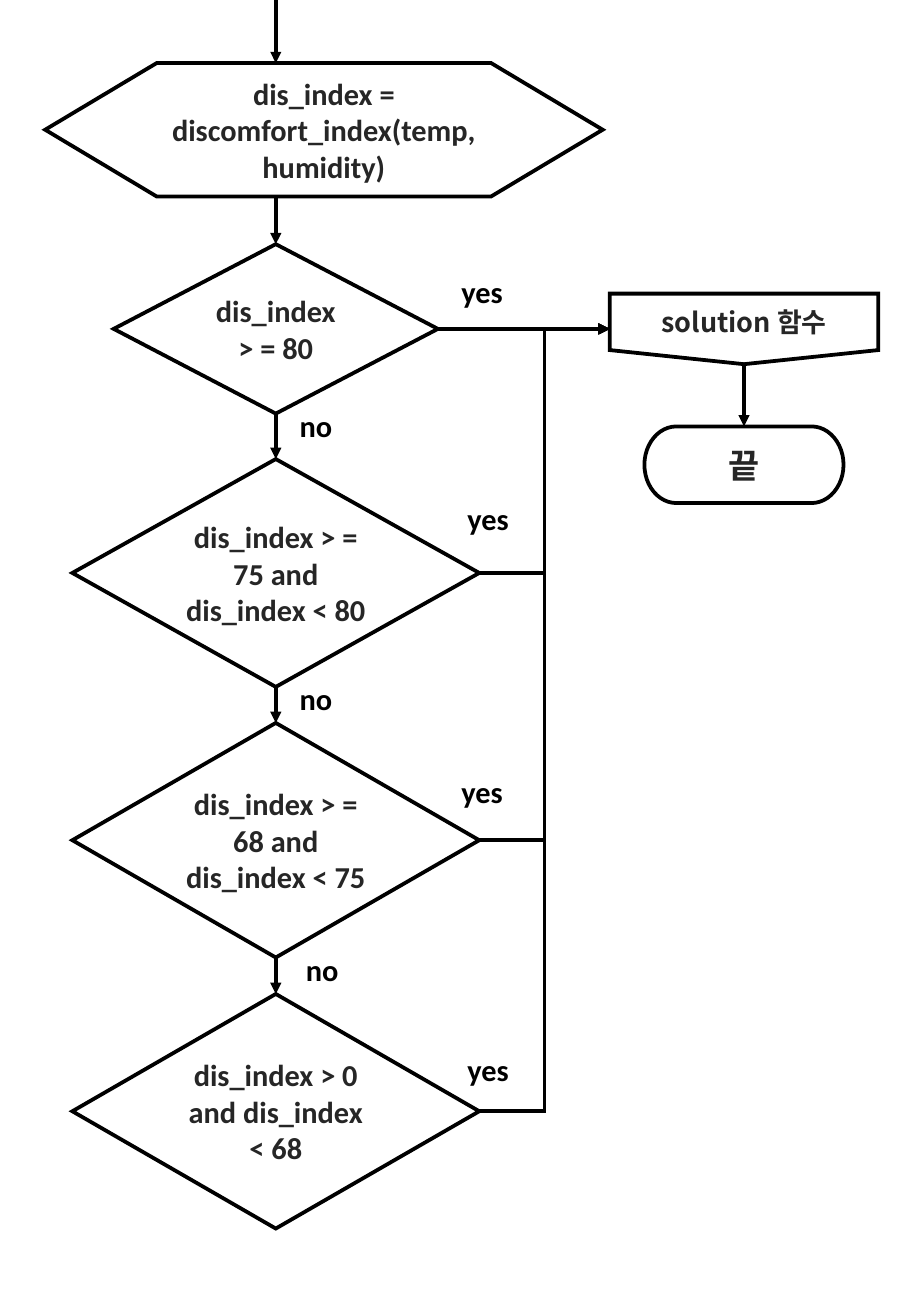
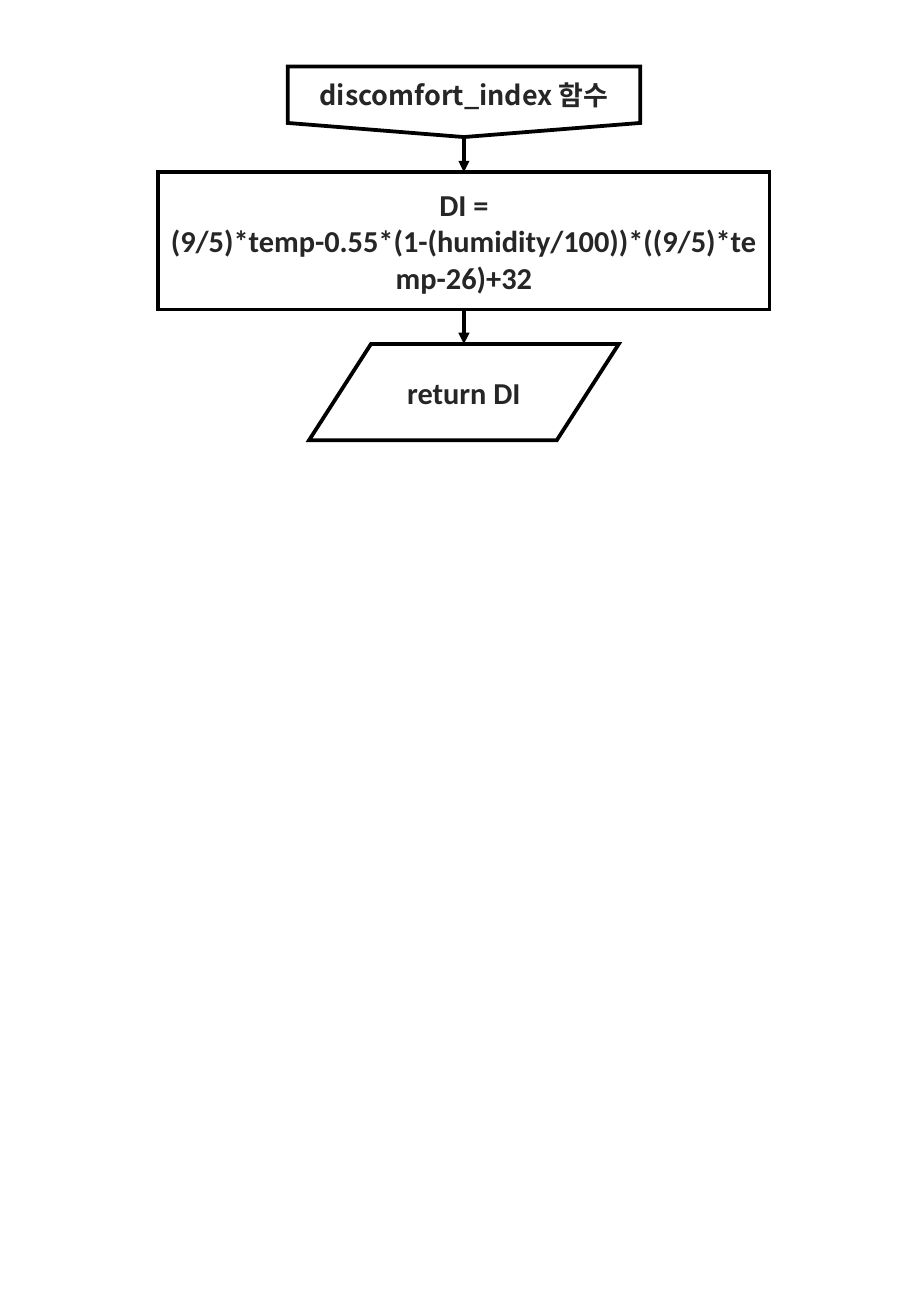
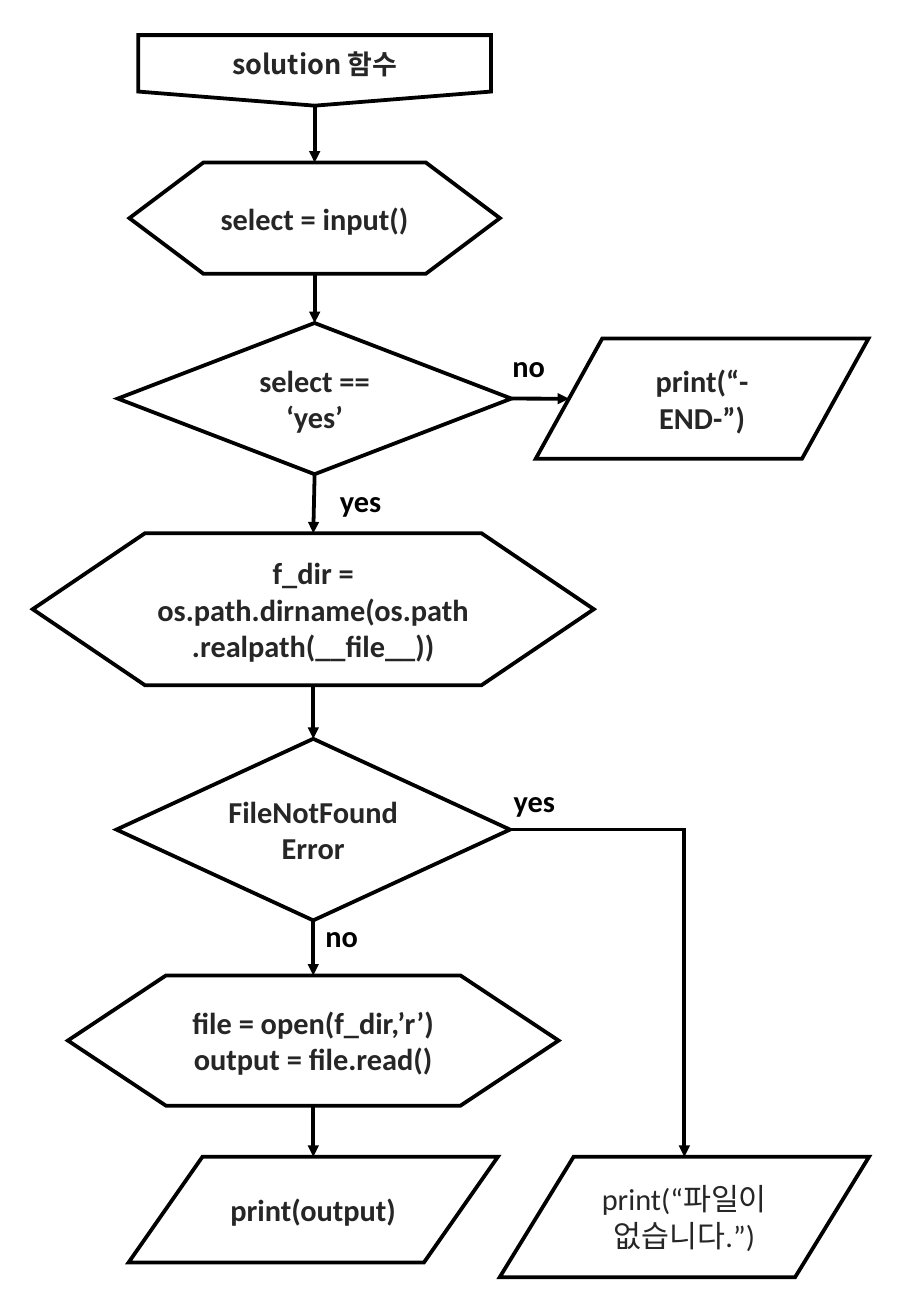
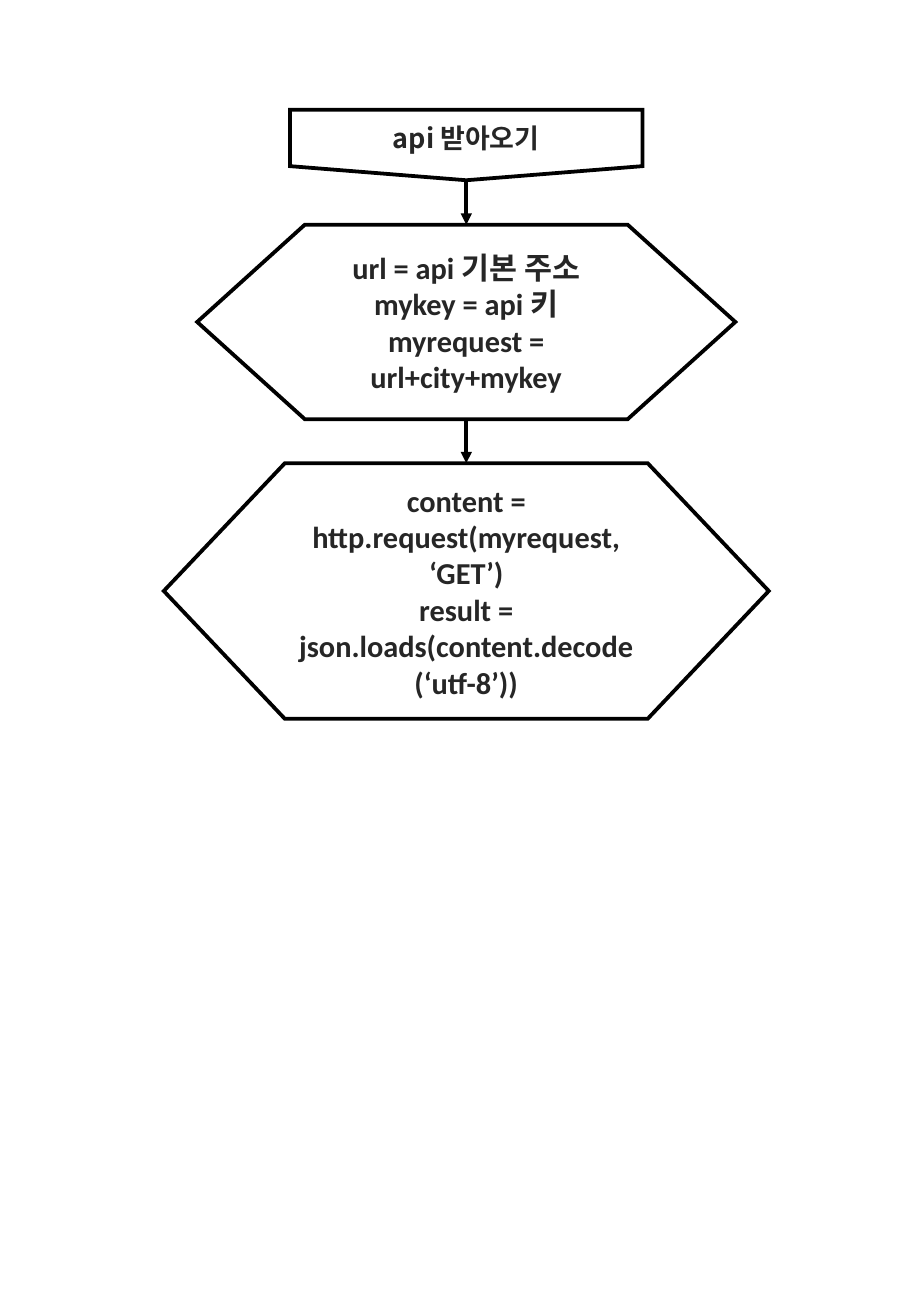
from dataclasses import dataclass

from lxml import etree
from pptx import Presentation
from pptx.dml.color import RGBColor
from pptx.enum.shapes import MSO_CONNECTOR, MSO_SHAPE
from pptx.enum.text import MSO_ANCHOR, MSO_AUTO_SIZE, PP_ALIGN
from pptx.oxml.ns import qn
from pptx.util import Pt

DECISION = MSO_SHAPE.FLOWCHART_DECISION
PREPARATION = MSO_SHAPE.FLOWCHART_PREPARATION
DATA = MSO_SHAPE.FLOWCHART_DATA
PROCESS = MSO_SHAPE.FLOWCHART_PROCESS
OFFPAGE = MSO_SHAPE.FLOWCHART_OFFPAGE_CONNECTOR
TERMINATOR = MSO_SHAPE.FLOWCHART_TERMINATOR
STRAIGHT, ELBOW = MSO_CONNECTOR.STRAIGHT, MSO_CONNECTOR.ELBOW

WHITE = RGBColor(0xFF, 0xFF, 0xFF)
BLACK = RGBColor(0x00, 0x00, 0x00)
INK = RGBColor(0x26, 0x26, 0x26)
LATIN, KOREAN = "Calibri", "Noto Sans CJK KR"
LINE_WIDTH = Pt(2.25)

# Text format of nodes, with the kinds that differ
NODE_FONT = {"name": LATIN, "size": Pt(18), "bold": True}
KIND_FONT = {
    OFFPAGE: {"name": KOREAN, "size": Pt(16)},
    TERMINATOR: {"name": KOREAN, "size": Pt(20)},
}

# Connection sites; the data parallelogram numbers its own
SITES = {"top": 0, "left": 1, "bottom": 2, "right": 3}
DATA_SITES = {"top": 1, "left": 2, "bottom": 4, "right": 5}


@dataclass
class Node:
    kind: MSO_SHAPE
    text: str
    cx: float
    top: float
    width: float
    height: float
    bold: bool = True


@dataclass
class Label:
    text: str
    left: float
    top: float


def write(tf, text: str, fmt: dict, color: RGBColor, align) -> None:
    """Fill a text frame, one paragraph for each line of text."""
    for i, line in enumerate(text.split("\n")):
        p = tf.paragraphs[0] if i == 0 else tf.add_paragraph()
        p.alignment = align
        r = p.add_run()
        r.text = line
        for name, value in fmt.items():
            setattr(r.font, name, value)
        r.font.color.rgb = color
        ea = etree.Element(qn("a:ea"), typeface=KOREAN)
        r.font._element.find(qn("a:latin")).addnext(ea)


def style_line(line):
    """Apply the shared outline and return its XML element."""
    line.color.rgb = BLACK
    line.width = LINE_WIDTH
    ln = line._get_or_add_ln()
    etree.SubElement(ln, qn("a:miter"), lim="800000")
    return ln


def draw_node(s, n: Node):
    sp = s.shapes.add_shape(n.kind, Pt(n.cx - n.width / 2), Pt(n.top),
                            Pt(n.width), Pt(n.height))
    sp.shadow.inherit = False
    sp.fill.solid()
    sp.fill.fore_color.rgb = WHITE
    style_line(sp.line)
    tf = sp.text_frame
    tf.word_wrap = True
    tf.vertical_anchor = MSO_ANCHOR.MIDDLE
    fmt = {**NODE_FONT, **KIND_FONT.get(n.kind, {}), "bold": n.bold}
    write(tf, n.text, fmt, INK, PP_ALIGN.CENTER)
    return sp


def draw_label(s, lb: Label) -> None:
    width = 39 if lb.text == "yes" else 34
    tf = s.shapes.add_textbox(Pt(lb.left), Pt(lb.top), Pt(width), Pt(29)).text_frame
    tf.word_wrap = False
    tf.auto_size = MSO_AUTO_SIZE.SHAPE_TO_FIT_TEXT
    write(tf, lb.text, NODE_FONT, BLACK, PP_ALIGN.LEFT)


def arrow(s, begin: tuple, end: tuple, kind=STRAIGHT):
    """Draw an arrow between two points given as lengths."""
    c = s.shapes.add_connector(kind, *begin, *end)
    ln = style_line(c.line)
    etree.SubElement(ln, qn("a:tailEnd"), type="triangle")
    etree.SubElement(c._element.spPr, qn("a:effectLst"))
    return c


def side_point(sp, side: str) -> tuple:
    """Point where a connector meets one side of a node."""
    slant = sp.width // 10 if sp.auto_shape_type == DATA else 0
    mid_x, mid_y = sp.left + sp.width // 2, sp.top + sp.height // 2
    return {
        "top": (mid_x, sp.top),
        "bottom": (mid_x, sp.top + sp.height),
        "left": (sp.left + slant, mid_y),
        "right": (sp.left + sp.width - slant, mid_y),
    }[side]


def site(sp, side: str) -> int:
    return (DATA_SITES if sp.auto_shape_type == DATA else SITES)[side]


def link(s, a, a_side: str, b, b_side: str, kind=STRAIGHT):
    """Draw an arrow that is attached to two nodes."""
    begin, end = side_point(a, a_side), side_point(b, b_side)
    c = arrow(s, begin, end, kind)
    c.begin_connect(a, site(a, a_side))
    c.end_connect(b, site(b, b_side))
    c.begin_x, c.begin_y = begin
    c.end_x, c.end_y = end
    return c


def draw_chain(s, nodes: list) -> list:
    """Draw nodes from top to bottom, each linked to the next."""
    shapes = [draw_node(s, n) for n in nodes]
    for a, b in zip(shapes, shapes[1:]):
        link(s, a, "bottom", b, "top")
    return shapes


def build_index_checks(s) -> None:
    cx = 163.5
    call = draw_node(s, Node(PREPARATION, "dis_index = discomfort_index(temp, humidity)",
                             192, 37.4, 330.5, 79))
    checks = draw_chain(s, [
        Node(DECISION, "dis_index > = 80", cx, 144.7, 192.2, 100.4),
        Node(DECISION, "dis_index > = 75 and dis_index < 80", cx, 272, 241.2, 135),
        Node(DECISION, "dis_index > = 68 and dis_index < 75", cx, 428.4, 241.2, 139),
        Node(DECISION, "dis_index > 0 and dis_index < 68", cx, 589, 241.2, 139),
    ])
    solution, _ = draw_chain(s, [
        Node(OFFPAGE, "solution 함수", 441, 174, 159.1, 41.8),
        Node(TERMINATOR, "끝", 441, 252.7, 118, 45.4),
    ])
    # Flow in from the page before, through the call, to the first check
    arrow(s, (Pt(cx), 0), (Pt(cx), call.top))
    arrow(s, (Pt(cx), call.top + call.height), side_point(checks[0], "top"))
    for i, check in enumerate(checks):
        link(s, check, "right", solution, "left", ELBOW if i else STRAIGHT)
    for lb in (Label("yes", 266.4, 158.4), Label("yes", 270, 293),
               Label("yes", 266.4, 454.3), Label("yes", 270, 619.2),
               Label("no", 170.6, 237.6), Label("no", 170.6, 399.6),
               Label("no", 174.2, 560.2)):
        draw_label(s, lb)


def build_index_function(s) -> None:
    cx = 275
    draw_chain(s, [
        Node(OFFPAGE, "discomfort_index 함수", cx, 39.4, 209, 41.8),
        Node(PROCESS, "DI = (9/5)*temp-0.55*(1-(humidity/100))*((9/5)*temp-26)+32",
             cx, 102, 362.2, 81.4),
        Node(DATA, "return DI", cx, 203.8, 183.6, 57),
    ])


def build_solution_function(s) -> None:
    upper, lower = 186.5, 185.7
    _, _, choice, _, missing, _, _ = draw_chain(s, [
        Node(OFFPAGE, "solution 함수", upper, 20.8, 209, 41.8),
        Node(PREPARATION, "select = input()", upper, 96.3, 219.6, 66),
        Node(DECISION, "select == ‘yes’", upper, 191.4, 233.3, 89.6),
        Node(PREPARATION, "f_dir = os.path.dirname(os.path.realpath(__file__))",
             lower, 316, 332.6, 90),
        Node(DECISION, "FileNotFoundError", lower, 437.8, 233.3, 107.6),
        Node(PREPARATION, "file = open(f_dir,’r’)\noutput = file.read()",
             lower, 578, 290.9, 77.2),
        Node(DATA, "print(output)", lower, 685.5, 218.9, 62.6),
    ])
    end = draw_node(s, Node(DATA, "print(“-END-”)", 416.2, 200.6, 197.3, 71.3))
    no_file = draw_node(s, Node(DATA, "print(“파일이 없습니다.”)",
                                405.7, 685.5, 218.9, 71.3, bold=False))
    link(s, choice, "right", end, "left")
    bend = link(s, missing, "right", no_file, "top", ELBOW)
    bend._element.spPr.find(qn("a:prstGeom")).set("prst", "bentConnector2")
    for lb in (Label("no", 296.6, 202.3), Label("yes", 194.4, 282.2),
               Label("yes", 297.4, 460), Label("no", 185.8, 540)):
        draw_label(s, lb)


def build_api_request(s) -> None:
    cx = 276.4
    draw_chain(s, [
        Node(OFFPAGE, "api 받아오기", cx, 65, 209, 41.8),
        Node(PREPARATION, "url = api 기본 주소\nmykey = api 키\nmyrequest = url+city+mykey",
             cx, 133.2, 319, 115.2),
        Node(PREPARATION, "content = http.request(myrequest, ‘GET’)\n"
             "result = json.loads(content.decode(‘utf-8’))",
             cx, 274.5, 358.6, 151.4),
    ])


def main() -> None:
    prs = Presentation()
    prs.slide_width, prs.slide_height = Pt(540), Pt(779.8)
    blank = prs.slide_layouts[6]
    for build in (build_index_checks, build_index_function,
                  build_solution_function, build_api_request):
        build(prs.slides.add_slide(blank))
    prs.save("out.pptx")


if __name__ == "__main__":
    main()
